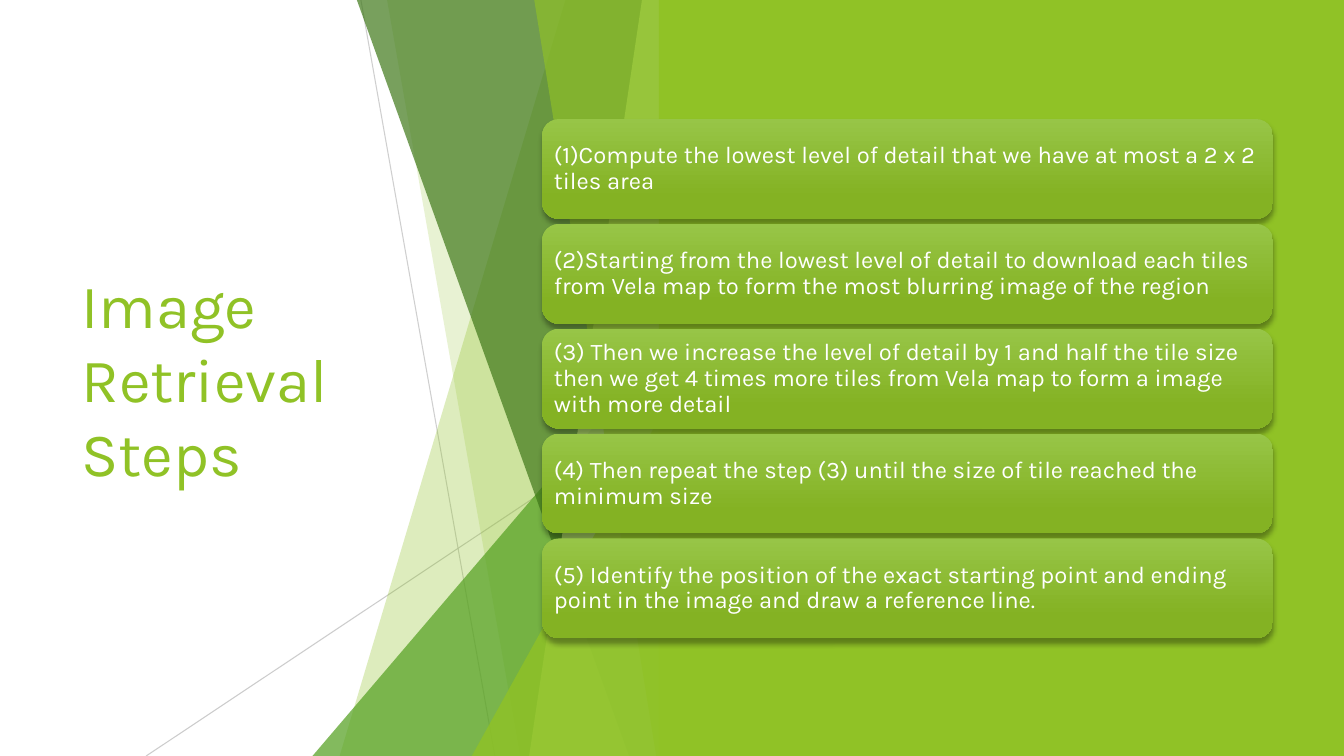
from dataclasses import dataclass

from lxml.etree import SubElement
from pptx import Presentation
from pptx.dml.color import RGBColor
from pptx.enum.shapes import MSO_CONNECTOR, MSO_SHAPE
from pptx.enum.text import MSO_ANCHOR, PP_ALIGN
from pptx.oxml.ns import qn
from pptx.util import Pt


@dataclass(frozen=True)
class Theme:
    font: str = "Karla"
    title_size: int = 44
    step_size: int = 17
    green: str = "90C226"
    mid_green: str = "54A021"
    dark_green: str = "3F7819"
    pale_green: str = "C0E474"
    card_top: str = "97C547"
    card_bottom: str = "84B223"
    ray: str = "BFBFBF"
    white: str = "FFFFFF"
    shadow: str = "000000"


THEME = Theme()
WIDTH, HEIGHT = 960, 540
FACET_RIGHT = 479.6

STEPS = (
    "(1)Compute the lowest level of detail that we have at most a 2 x 2 tiles area",
    "(2)Starting from the lowest level of detail to download each tiles from Vela map "
    "to form the most blurring image of the region",
    "(3) Then we increase the level of detail by 1 and half the tile size then we get "
    "4 times more tiles from Vela map to form a image with more detail",
    "(4) Then repeat the step (3) until the size of tile reached the minimum size",
    "(5) Identify the position of the exact starting point and ending point in the "
    "image and draw a reference line.",
)


def set_alpha(element, percent):
    color = element.spPr.find(".//" + qn("a:srgbClr"))
    SubElement(color, qn("a:alpha")).set("val", str(percent * 1000))


def paint(shape, color, alpha=100):
    shape.shadow.inherit = False
    shape.line.fill.background()
    shape.fill.solid()
    shape.fill.fore_color.rgb = RGBColor.from_string(color)
    if alpha < 100:
        set_alpha(shape._element, alpha)


def write(shape, text, size, color):
    frame = shape.text_frame
    frame.word_wrap = True
    frame.vertical_anchor = MSO_ANCHOR.MIDDLE
    paragraph = frame.paragraphs[0]
    paragraph.text = text
    paragraph.alignment = PP_ALIGN.LEFT
    paragraph.font.name = THEME.font
    paragraph.font.size = Pt(size)
    paragraph.font.color.rgb = RGBColor.from_string(color)
    return frame, paragraph


def add_ray(slide, start, end, alpha):
    ray = slide.shapes.add_connector(
        MSO_CONNECTOR.STRAIGHT, *(Pt(value) for value in start + end))
    ray.line.width = Pt(0.75)
    ray.line.color.rgb = RGBColor.from_string(THEME.ray)
    set_alpha(ray._element, alpha)
    SubElement(ray._element.spPr, qn("a:effectLst"))


def add_facet(slide, top_x, bottom_x, color, alpha):
    """Full-height facet with a slanted left edge."""
    outline = slide.shapes.build_freeform(Pt(top_x), 0)
    corners = ((FACET_RIGHT, 0), (FACET_RIGHT, HEIGHT), (bottom_x, HEIGHT))
    outline.add_line_segments([(Pt(x), Pt(y)) for x, y in corners])
    paint(outline.convert_to_shape(), color, alpha)


def add_corner(slide, left, top, color, alpha):
    """Right-angled triangle standing on the bottom edge."""
    corner = slide.shapes.add_shape(
        MSO_SHAPE.ISOSCELES_TRIANGLE, Pt(left), Pt(top),
        Pt(FACET_RIGHT - left), Pt(HEIGHT - top))
    corner.adjustments[0] = 1
    paint(corner, color, alpha)


def add_panel(slide, left):
    panel = slide.shapes.add_shape(
        MSO_SHAPE.RECTANGLE, Pt(left), 0, Pt(WIDTH - left), Pt(HEIGHT))
    paint(panel, THEME.green)


def add_title(slide, text):
    title = slide.shapes.add_textbox(Pt(51), Pt(108.7), Pt(279.4), Pt(322.6))
    write(title, text, THEME.title_size, THEME.green)


def add_card_shadow(card):
    card.shadow.inherit = False
    effects = card._element.spPr.find(qn("a:effectLst"))
    shadow = SubElement(effects, qn("a:outerShdw"), blurRad=str(Pt(4)),
                        dist=str(Pt(3)), dir="5400000", rotWithShape="0")
    color = SubElement(shadow, qn("a:srgbClr"), val=THEME.shadow)
    SubElement(color, qn("a:alpha"), val="35000")


def add_step_card(slide, top, text):
    card = slide.shapes.add_shape(
        MSO_SHAPE.ROUNDED_RECTANGLE, Pt(387.2), Pt(top), Pt(522), Pt(71.3))
    card.line.fill.background()
    card.fill.gradient()
    card.fill.gradient_angle = 270
    shades = ((0, THEME.card_top), (0.78, THEME.card_bottom))
    for stop, (position, color) in zip(card.fill.gradient_stops, shades):
        stop.position = position
        stop.color.rgb = RGBColor.from_string(color)
    add_card_shadow(card)
    frame, paragraph = write(card, text, THEME.step_size, THEME.white)
    paragraph.line_spacing = 0.9
    frame.margin_left = frame.margin_right = Pt(5)
    frame.margin_top = frame.margin_bottom = Pt(5)


def main():
    deck = Presentation()
    deck.slide_width, deck.slide_height = Pt(WIDTH), Pt(HEIGHT)
    slide = deck.slides.add_slide(deck.slide_layouts[6])

    # Faceted backdrop, back to front
    add_ray(slide, (257.8, 0), (353.5, HEIGHT), 75)
    add_ray(slide, (FACET_RIGHT, 290.2), (104.4, HEIGHT), 80)
    add_facet(slide, 403.9, 242.6, THEME.green, 30)
    add_facet(slide, 276.5, 371.5, THEME.green, 20)
    add_corner(slide, 223.2, 239.8, THEME.mid_green, 72)
    add_facet(slide, 254.9, 449.3, THEME.dark_green, 70)
    add_facet(slide, 458.6, 378, THEME.pale_green, 70)
    add_facet(slide, 381.6, 468.7, THEME.green, 65)
    add_corner(slide, 337, 283, THEME.green, 80)
    add_panel(slide, 470.6)

    # Title and step cards
    add_title(slide, "Image Retrieval Steps")
    for index, step in enumerate(STEPS):
        add_step_card(slide, 85 + 74.9 * index, step)

    deck.save("out.pptx")


if __name__ == "__main__":
    main()
